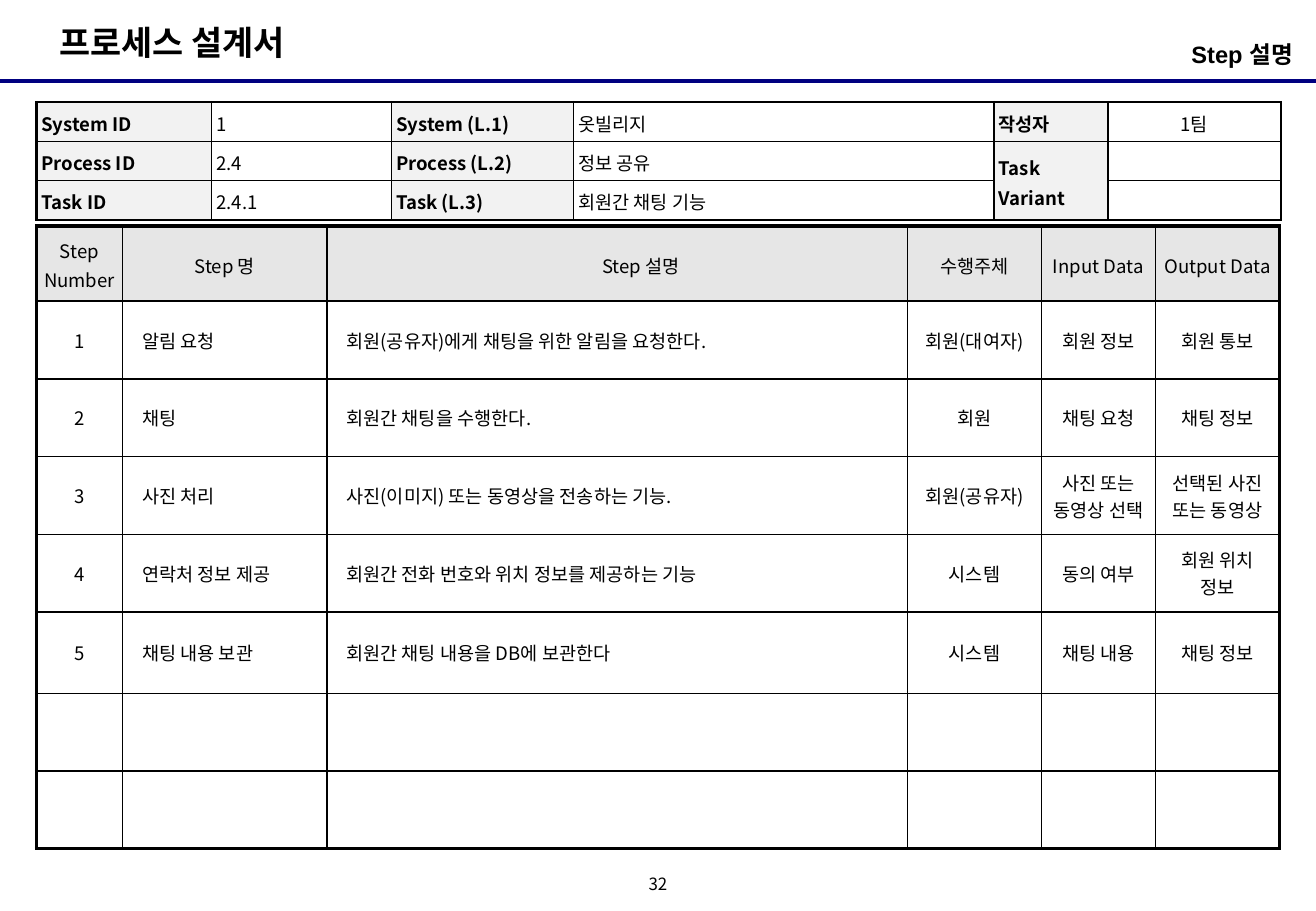
import pptx
import pptx.dml.color
import pptx.enum.text
import pptx.oxml
import pptx.oxml.ns
import pptx.util
import lxml.etree

Inches = pptx.util.Inches
Pt = pptx.util.Pt
Align = pptx.enum.text.PP_ALIGN
Anchor = pptx.enum.text.MSO_ANCHOR
qn = pptx.oxml.ns.qn

KOREAN = "Noto Sans CJK KR"
BLACK = "000000"

SYSTEM_INFO = [
    ["System ID", "1", "System (L.1)", "옷빌리지", "작성자", "1팀"],
    ["Process ID", "2.4", "Process (L.2)", "정보 공유", "Task Variant", ""],
    ["Task ID", "2.4.1", "Task (L.3)", "회원간 채팅 기능", "", ""],
]
STEPS = [
    ["Step Number", "Step 명", "Step 설명", "수행주체", "Input Data", "Output Data"],
    ["1", "알림 요청", "회원(공유자)에게 채팅을 위한 알림을 요청한다.", "회원(대여자)", "회원 정보", "회원 통보"],
    ["2", "채팅", "회원간 채팅을 수행한다.", "회원", "채팅 요청", "채팅 정보"],
    ["3", "사진 처리", "사진(이미지) 또는 동영상을 전송하는 기능.", "회원(공유자)", "사진 또는 동영상 선택", "선택된 사진 또는 동영상"],
    ["4", "연락처 정보 제공", "회원간 전화 번호와 위치 정보를 제공하는 기능", "시스템", "동의 여부", "회원 위치 정보"],
    ["5", "채팅 내용 보관", "회원간 채팅 내용을 DB에 보관한다", "시스템", "채팅 내용", "채팅 정보"],
    [""] * 6,
    [""] * 6,
]


def color(value):
    return pptx.dml.color.RGBColor.from_string(value)


def write(frame, text, size=11, font=KOREAN, bold=False, align=Align.LEFT,
          anchor=Anchor.MIDDLE, spacing=1.0, indent=0, margins=(0, 0, 0, 0), wrap=True):
    frame.word_wrap = wrap
    frame.vertical_anchor = anchor
    frame.margin_left, frame.margin_top, frame.margin_right, frame.margin_bottom = map(Inches, margins)
    paragraph = frame.paragraphs[0]
    paragraph.alignment = align
    paragraph.line_spacing = spacing
    paragraph.space_before = Pt(0)
    properties = paragraph._p.get_or_add_pPr()
    properties.set("marL", str(Inches(indent)))
    properties.set("indent", "0")
    lxml.etree.SubElement(properties, qn("a:buNone"))
    if not text:
        lxml.etree.SubElement(paragraph._p, qn("a:endParaRPr"), sz=str(size * 100))
        return
    run = paragraph.add_run()
    run.text = text
    run.font.size = Pt(size)
    run.font.bold = bold
    run.font.color.rgb = color(BLACK)
    run.font.name = font
    lxml.etree.SubElement(run._r.get_or_add_rPr(), qn("a:ea"), typeface=KOREAN)


class ProcessSheet:
    def __init__(self, deck):
        self.slide = deck.slides.add_slide(deck.slide_layouts[1])

    def place(self, holder, left, top, width, height):
        holder.left, holder.top, holder.width, holder.height = map(Inches, (left, top, width, height))
        holder.text_frame.auto_size = pptx.enum.text.MSO_AUTO_SIZE.NONE

    def heading(self, holder, area, text, **style):
        self.place(holder, *area)
        write(holder.text_frame, text, bold=True, **style)

    def label(self, area, text, **style):
        box = self.slide.shapes.add_textbox(*map(Inches, area))
        write(box.text_frame, text, **style)

    def rule(self, left, right, y, line_color, width):
        rule = self.slide.shapes.add_connector(
            pptx.enum.shapes.MSO_CONNECTOR.STRAIGHT, Inches(left), Inches(y), Inches(right), Inches(y))
        rule.line.color.rgb = color(line_color)
        rule.line.width = Pt(width)
        lxml.etree.SubElement(rule._element.spPr, qn("a:effectLst"))

    def border(self, cell, side, width):
        edge = lxml.etree.SubElement(cell._tc.get_or_add_tcPr(), qn("a:ln" + side), w=str(Pt(width)))
        fill = lxml.etree.SubElement(edge, qn("a:solidFill"))
        lxml.etree.SubElement(fill, qn("a:srgbClr"), val=BLACK)

    def table(self, top, columns, heights, rows, frame_width, margins, cell_style, merges=()):
        grid = self.slide.shapes.add_table(
            len(rows), len(columns), Inches(0.3), Inches(top),
            Inches(sum(columns)), Inches(sum(heights))).table
        grid.first_row = grid.horz_banding = False
        for column, width in zip(grid.columns, columns):
            column.width = Inches(width)
        for row, height in zip(grid.rows, heights):
            row.height = Inches(height)
        for r, texts in enumerate(rows):
            for c, text in enumerate(texts):
                cell = grid.cell(r, c)
                fill, style = cell_style(r, c)
                outer = {"L": c == 0, "R": c == len(columns) - 1, "T": r == 0, "B": r == len(rows) - 1}
                for side, is_outer in outer.items():
                    self.border(cell, side, frame_width if is_outer else 1)
                if fill:
                    cell.fill.solid()
                    cell.fill.fore_color.rgb = color(fill)
                else:
                    cell.fill.background()
                anchor = style.pop("anchor", Anchor.MIDDLE)
                write(cell.text_frame, text, **style)
                cell.vertical_anchor = anchor
                cell.margin_left, cell.margin_top, cell.margin_right, cell.margin_bottom = map(Inches, margins)
        for first, last in merges:
            grid.cell(*first).merge(grid.cell(*last))


def info_style(r, c):
    is_label = c % 2 == 0
    return "F2F2F2" if is_label else None, {
        "bold": is_label,
        "spacing": 1.1,
        "anchor": Anchor.TOP if c < 4 else Anchor.MIDDLE,
        "align": Align.CENTER if c == 5 else Align.LEFT,
    }


def step_style(r, c):
    if r == 0:
        return "E6E6E6", {"align": Align.CENTER, "spacing": 1.1, "indent": 0.39 if c == 2 else 0}
    if c in (1, 2):
        return None, {"indent": 0.1}
    return None, {"align": Align.CENTER}


def main():
    deck = pptx.Presentation()
    deck.slide_width, deck.slide_height = Inches(10.83), Inches(7.5)
    sheet = ProcessSheet(deck)
    title, subtitle = sheet.slide.placeholders
    sheet.rule(0, 10.83, 0.67, "000080", 2.25)
    sheet.heading(title, (0.39, 0.13, 2.26, 0.44), "프로세스 설계서",
                  size=20, margins=(0.1, 0.05, 0.1, 0.05), wrap=False)
    sheet.heading(subtitle, (7.39, 0.28, 3.31, 0.39), "Step 설명", size=14, font="Arial",
                  align=Align.RIGHT, anchor=Anchor.TOP, margins=(0, 0.05, 0.06, 0.05))
    sheet.table(0.84, [1.44, 1.48, 1.5, 3.46, 0.94, 1.42], [0.31] * 3, SYSTEM_INFO,
                1.5, (0.04,) * 4, info_style, [((1, 4), (2, 4))])
    sheet.table(1.86, [0.71, 1.68, 4.78, 1.1, 0.94, 1.02],
                [0.62] + [0.64] * 4 + [0.67] + [0.64] * 2, STEPS,
                2.25, (0.06, 0.04, 0.06, 0.04), step_style)
    sheet.label((5.25, 7.17, 0.33, 0.25), "32", size=10, align=Align.CENTER, spacing=0.8, wrap=False)
    deck.save("out.pptx")


if __name__ == "__main__":
    main()
